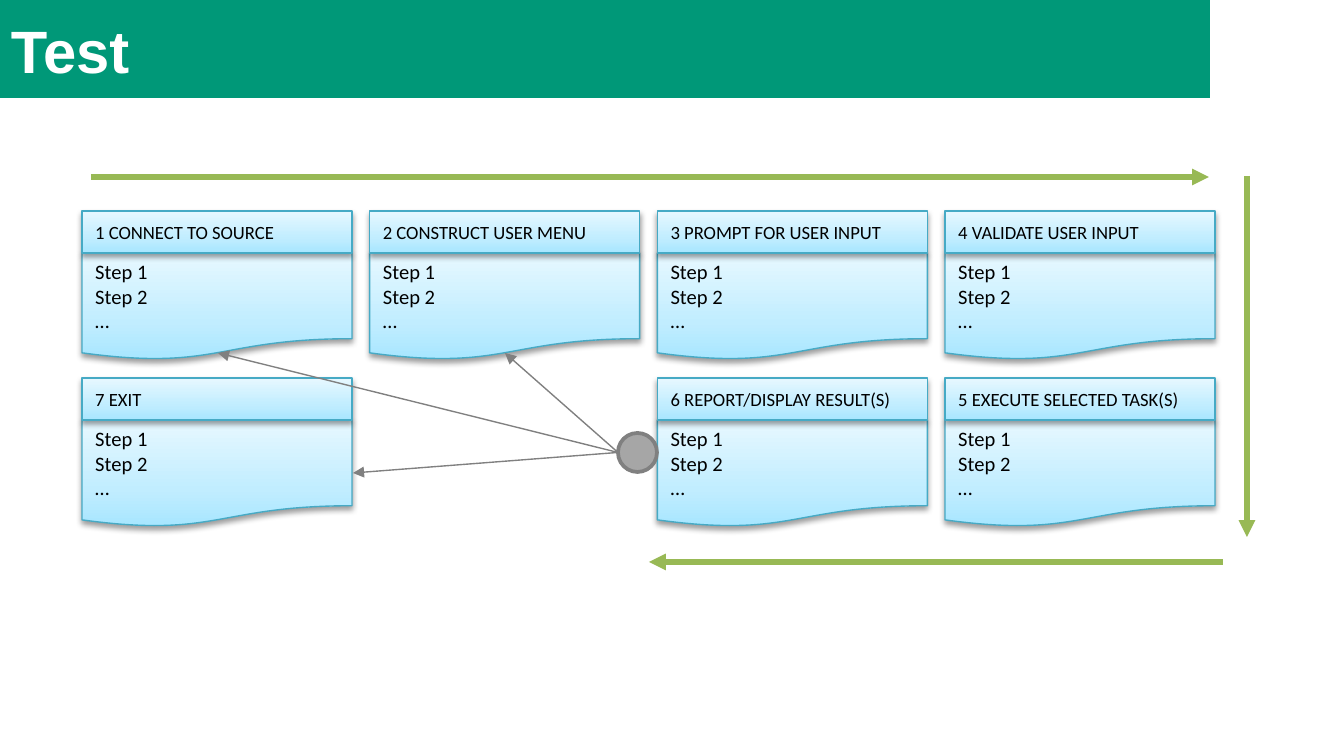
from lxml import etree
from copy import deepcopy
from pptx import Presentation
from pptx import util as u
from pptx.dml.color import RGBColor
from pptx.enum import shapes, text
from pptx.oxml import parse_xml
from pptx.oxml.ns import nsdecls, qn

GREEN = RGBColor(0x00, 0x98, 0x78)
ARROW_GREEN = RGBColor(0x98, 0xB9, 0x55)
GRAY = RGBColor(0x80, 0x80, 0x80)
LIGHT_GRAY = RGBColor(0xA6, 0xA6, 0xA6)
CARD_LINE = RGBColor(0x46, 0xAA, 0xC5)
CARD_STOPS = [(0, RGBColor(0xA7, 0xE6, 0xFF)),
              (0.35, RGBColor(0xC1, 0xED, 0xFF)),
              (1, RGBColor(0xE7, 0xF8, 0xFF))]
BLACK = RGBColor(0, 0, 0)
WHITE = RGBColor(255, 255, 255)

TITLE = "Test"
CARDS = [  # heading, column, row
    ("7 EXIT", 0, 1),
    ("1 CONNECT TO SOURCE", 0, 0),
    ("2 CONSTRUCT USER MENU", 1, 0),
    ("3 PROMPT FOR USER INPUT", 2, 0),
    ("6 REPORT/DISPLAY RESULT(S)", 2, 1),
    ("5 EXECUTE SELECTED TASK(S)", 3, 1),
    ("4 VALIDATE USER INPUT", 3, 0),
]
STEPS = ["Step 1", "Step 2", "…"]

# Lengths in px
LEFT, RIGHT, TOP, ROW_PITCH = 82, 1215, 211, 167
CARD_W, HEAD_H, BODY_H = 270, 42, 107
COL_PITCH = (RIGHT - LEFT - CARD_W) / 3
HUB_X, HUB_Y, HUB_D = 618, 433, 39
HUB_TARGETS = [(505, 353), (218, 353), (353, 473)]
FLOW_ARROWS = [((91, 177), (1209, 177)),
               ((1247, 176), (1247, 537)),
               ((1223, 562), (649, 562))]


def px(n):
    return u.Emu(round(n * 914400 / 134.4))


def add_box(kind, x, y, w, h):
    sp = s.shapes.add_shape(kind, px(x), px(y), px(w), px(h))
    sp.shadow.inherit = False
    return sp


def write(tf, lines, size, color, font, bold=False):
    tf.word_wrap = True
    for i, line in enumerate(lines):
        p = tf.paragraphs[0] if i == 0 else tf.add_paragraph()
        p.alignment = text.PP_ALIGN.LEFT
        r = p.add_run()
        r.text = line
        r.font.size, r.font.name, r.font.bold = u.Pt(size), font, bold
        r.font.color.rgb = color


def fill_gradient(fill):
    """Fill from the bottom up with the three card colours."""
    fill.gradient()
    fill.gradient_angle = 90
    stop_list = fill._xPr.find(qn("a:gradFill")).find(qn("a:gsLst"))
    stop_list.insert(1, deepcopy(stop_list[0]))
    for stop, (position, color) in zip(fill.gradient_stops, CARD_STOPS):
        stop.color.rgb = color
        stop.position = position


def add_shadow(sp):
    effects = sp._element.spPr.find(qn("a:effectLst"))
    effects.append(parse_xml(
        f'<a:outerShdw {nsdecls("a")} blurRad="40000" dist="20000" dir="5400000" '
        'rotWithShape="0"><a:srgbClr val="000000"><a:alpha val="38000"/>'
        '</a:srgbClr></a:outerShdw>'))


def add_panel(kind, x, y, h, lines, size):
    sp = add_box(kind, x, y, CARD_W, h)
    fill_gradient(sp.fill)
    sp.line.color.rgb = CARD_LINE
    sp.line.width = u.Pt(0.75)
    add_shadow(sp)
    sp.text_frame.vertical_anchor = text.MSO_ANCHOR.MIDDLE
    write(sp.text_frame, lines, size, BLACK, "Calibri")


def add_arrow(start, end, color, width):
    c = s.shapes.add_connector(shapes.MSO_CONNECTOR.STRAIGHT,
                               *map(px, start), *map(px, end))
    c.line.color.rgb = color
    c.line.width = u.Pt(width)
    etree.SubElement(c.line._get_or_add_ln(), qn("a:tailEnd"), type="triangle")
    etree.SubElement(c._element.spPr, qn("a:effectLst"))


prs = Presentation()
prs.slide_width, prs.slide_height = px(1344), px(756)
s = prs.slides.add_slide(prs.slide_layouts[6])

banner = add_box(shapes.MSO_SHAPE.RECTANGLE, 0, 0, 1210, 98)
banner.fill.solid()
banner.fill.fore_color.rgb = GREEN
banner.line.fill.background()

for heading, col, row in CARDS:
    x, y = LEFT + col * COL_PITCH, TOP + row * ROW_PITCH
    add_panel(shapes.MSO_SHAPE.FLOWCHART_DOCUMENT, x, y + HEAD_H, BODY_H, STEPS, 11)
    add_panel(shapes.MSO_SHAPE.RECTANGLE, x, y, HEAD_H, [heading], 10)

title = s.shapes.add_textbox(px(11), px(12), px(538), px(74))
tf = title.text_frame
tf.margin_left = tf.margin_right = tf.margin_bottom = 0
tf.margin_top = px(2)
write(tf, [TITLE], 32, WHITE, "Arial", bold=True)

hub = add_box(shapes.MSO_SHAPE.OVAL, HUB_X, HUB_Y, HUB_D, HUB_D)
hub.fill.solid()
hub.fill.fore_color.rgb = LIGHT_GRAY
hub.line.color.rgb = GRAY
hub.line.width = u.Pt(2)

for target in HUB_TARGETS:
    add_arrow((HUB_X, HUB_Y + HUB_D / 2), target, GRAY, 0.75)
for start, end in FLOW_ARROWS:
    add_arrow(start, end, ARROW_GREEN, 3)

prs.save("out.pptx")
